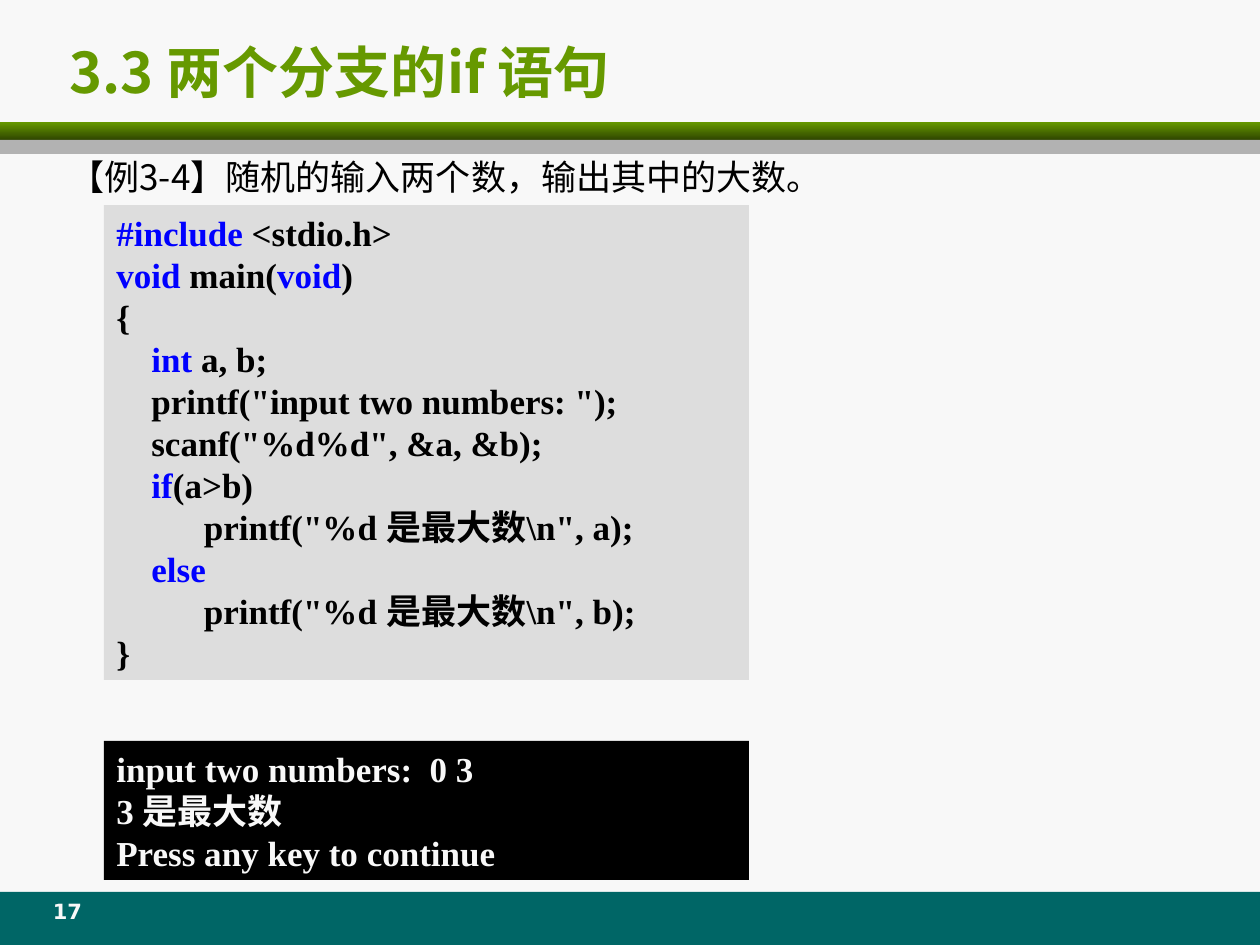
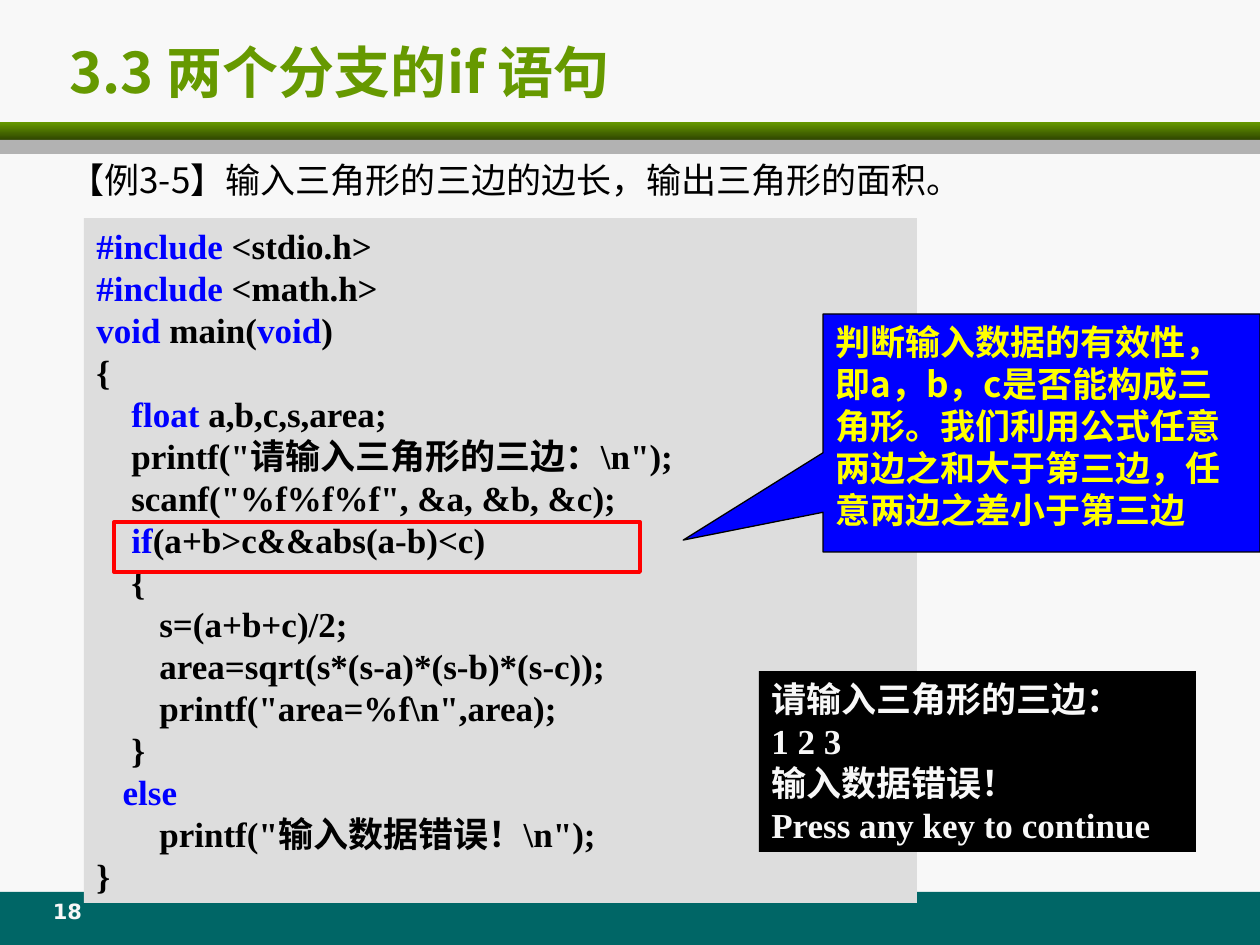
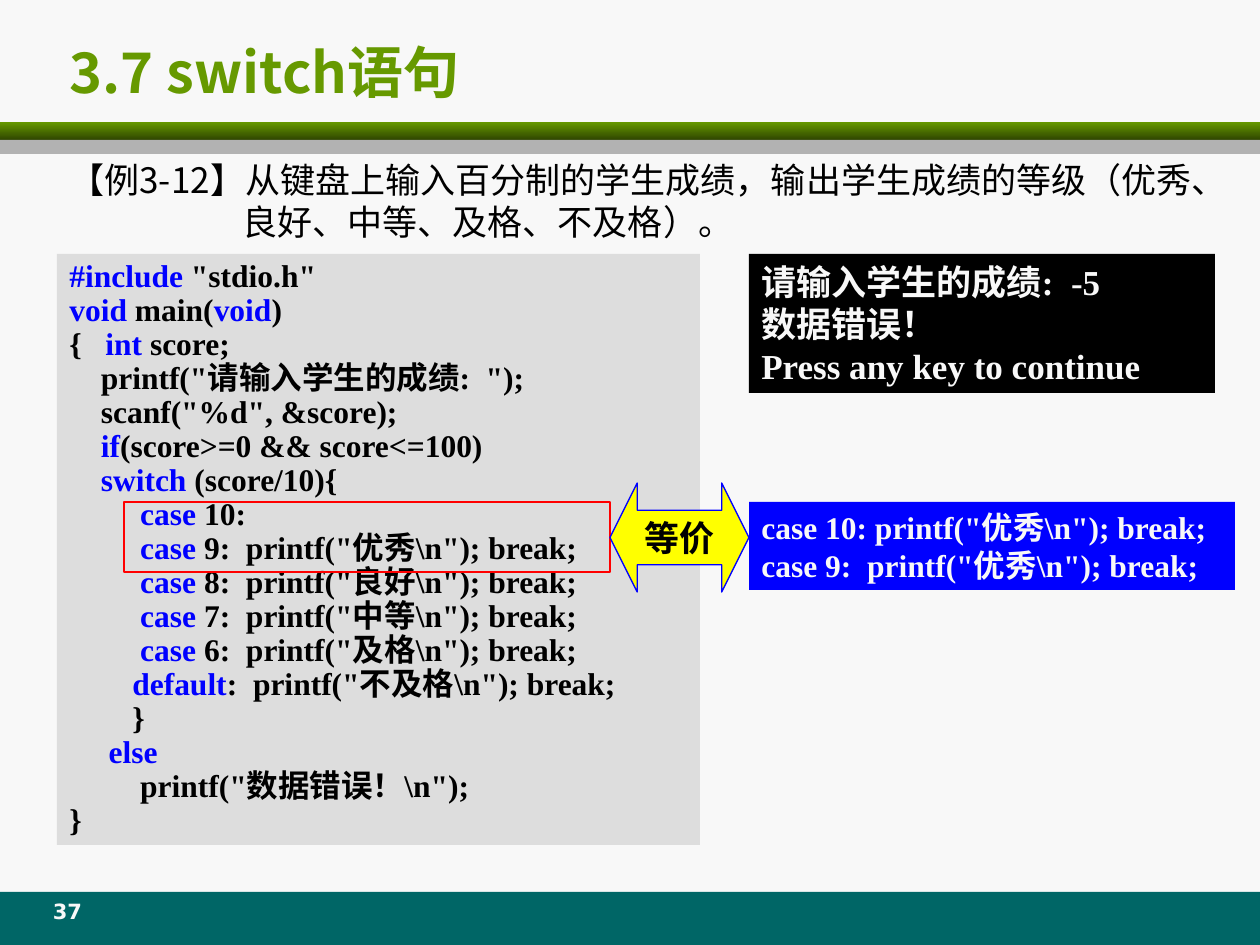
from lxml import etree
from pptx import Presentation
from pptx import util as u
from pptx.dml.color import RGBColor
from pptx.enum import shapes, text
from pptx.oxml.ns import qn

PX = 914400 / 126
WIDTH, HEIGHT = 1260, 945

PAPER, INK, BLUE, YELLOW, RED = "F8F8F8", "000000", "0000FF", "FFFF00", "FF0000"
GREEN, DARK_GREEN, GREY, TEAL, CODE_GREY = "669900", "2F4600", "B2B2B2", "006666", "DDDDDD"
SERIF, CJK, CJK_TITLE, NUMERAL = "Times New Roman", "Noto Sans CJK SC", "Noto Sans CJK JP", "DejaVu Sans"

TITLE_BOX = (57, 29, 1178, 84)
NUMBER_BOX = (31, 892, 73, 42)

MAX_CODE = r'''`#include` <stdio.h>
`void` main(`void`)
{
    `int` a, b;
    printf("input two numbers: ");
    scanf("%d%d", &a, &b);
    `if`(a>b)
          printf("%d 是最大数\n", a);
    `else`
          printf("%d 是最大数\n", b);
}'''
MAX_OUTPUT = """input two numbers:  0 3
3 是最大数
Press any key to continue"""

TRIANGLE_CODE = '''`#include` <stdio.h>
`#include` <math.h>
`void` main(`void`)
{
    `float` a,b,c,s,area;
    printf("请输入三角形的三边：\\n");
    scanf("%f%f%f", &a, &b, &c);
    `if`(a+b>c&&abs(a-b)<c)
    {
\ts=(a+b+c)/2;
\tarea=sqrt(s*(s-a)*(s-b)*(s-c));
\tprintf("area=%f\\n",area);
    }
   `else`
\tprintf("输入数据错误！\\n");
}'''
TRIANGLE_OUTPUT = """请输入三角形的三边：
1 2 3
输入数据错误！
Press any key to continue"""
TRIANGLE_NOTE = "判断输入数据的有效性，即a，b，c是否能构成三角形。我们利用公式任意两边之和大于第三边，任意两边之差小于第三边"

GRADE_CODE = r'''`#include` "stdio.h"
`void `main(`void`)
{ `  int` score;
    printf("请输入学生的成绩:  ");
    scanf("%d", &score);
    `if`(score>=0 && score<=100)
    `switch `(score/10){
         `case `10:
         `case` 9:  printf("优秀\n"); break;
         `case` 8:  printf("良好\n"); break;
         `case` 7:  printf("中等\n"); break;
         `case` 6:  printf("及格\n"); break;
        `default`:  printf("不及格\n"); break;
        }
     `else`
         printf("数据错误！\n");
}'''
GRADE_OUTPUT = """请输入学生的成绩:  -5
数据错误！
Press any key to continue"""
EQUIVALENT_CASES = r'''case 10: printf("优秀\n"); break;
case 9:  printf("优秀\n"); break;'''


def px(length):
    return u.Emu(round(length * PX))


def rgb(value):
    return RGBColor.from_string(value)


def style(paragraph, size, face, color, bold):
    font = paragraph.font
    font.size, font.name, font.bold = u.Pt(size), face, bold
    font.color.rgb = rgb(color)
    east_asian = etree.SubElement(paragraph._p.pPr.find(qn("a:defRPr")), qn("a:ea"))
    east_asian.set("typeface", CJK if face == SERIF else face)


def write(shape, content, size, face, color, bold=True, align=text.PP_ALIGN.LEFT,
          anchor=text.MSO_ANCHOR.TOP, spacing=None):
    """Fill a shape line by line; words between backticks are keywords."""
    frame = shape.text_frame
    frame.word_wrap = True
    frame.auto_size = text.MSO_AUTO_SIZE.NONE
    frame.vertical_anchor = anchor
    for index, line in enumerate(content.split("\n")):
        paragraph = frame.add_paragraph() if index else frame.paragraphs[0]
        paragraph.alignment = align
        if spacing:
            paragraph.line_spacing = spacing
        style(paragraph, size, face, color, bold)
        for part, words in enumerate(line.split("`")):
            if words:
                run = paragraph.add_run()
                run.text = words
                if part % 2:
                    run.font.color.rgb = rgb(BLUE)
    return frame


def add_block(slide, box, fill=None, line=None, weight=0.75, kind=shapes.MSO_SHAPE.RECTANGLE):
    block = slide.shapes.add_shape(kind, *map(px, box))
    block.shadow.inherit = False
    if fill:
        block.fill.solid()
        block.fill.fore_color.rgb = rgb(fill)
    else:
        block.fill.background()
    if line:
        block.line.color.rgb = rgb(line)
        block.line.width = u.Pt(weight)
    else:
        block.line.fill.background()
    return block


def add_bands(slide):
    add_block(slide, (0, 892, WIDTH, 53), TEAL)
    header = add_block(slide, (0, 122, WIDTH, 18), GREEN)
    header.fill.gradient()
    header.fill.gradient_angle = 270
    for stop, color in zip(header.fill.gradient_stops, (GREEN, DARK_GREEN)):
        stop.color.rgb = rgb(color)
    add_block(slide, (0, 140, WIDTH, 14), GREY)


def add_example(slide, box, content, hanging, spacing=None):
    example = slide.shapes.add_textbox(*map(px, box))
    frame = write(example, content, 20, CJK, INK, bold=False, spacing=spacing)
    properties = frame.paragraphs[0]._p.get_or_add_pPr()
    properties.set("marL", str(px(hanging)))
    properties.set("indent", str(-px(hanging)))


def add_code(slide, box, code, size=20, spacing=None):
    write(add_block(slide, box, CODE_GREY), code, size, SERIF, INK, spacing=spacing)


def add_console(slide, box, output):
    write(add_block(slide, box, INK), output, 20, SERIF, PAPER)


def add_callout(slide, box, note, tip):
    callout = add_block(slide, box, BLUE, INK, kind=shapes.MSO_SHAPE.RECTANGULAR_CALLOUT)
    callout.adjustments[0], callout.adjustments[1] = tip
    write(callout, note, 20, CJK, YELLOW)


def add_equivalence(slide, box, arrow_width):
    """Double arrow on the left of the box, equivalent code on its right."""
    left, top, width, height = box
    cases = add_block(slide, (left + arrow_width, top + 19, width - arrow_width, 88), BLUE)
    write(cases, EQUIVALENT_CASES, 18, SERIF, PAPER)
    arrow = add_block(slide, (left, top, arrow_width, height), YELLOW, BLUE,
                      kind=shapes.MSO_SHAPE.LEFT_RIGHT_ARROW)
    arrow.adjustments[0], arrow.adjustments[1] = 0.5, 0.25
    write(arrow, "等价", 20, CJK, INK, align=text.PP_ALIGN.CENTER, anchor=text.MSO_ANCHOR.MIDDLE)


def start_slide(prs, heading, number):
    slide = prs.slides.add_slide(prs.slide_layouts[5])
    add_bands(slide)
    title = slide.shapes.title
    title.left, title.top, title.width, title.height = map(px, TITLE_BOX)
    write(title, heading, 32, CJK_TITLE, GREEN, anchor=text.MSO_ANCHOR.MIDDLE)
    page = slide.shapes.add_textbox(*map(px, NUMBER_BOX))
    write(page, str(number), 12, NUMERAL, PAPER, align=text.PP_ALIGN.CENTER)
    return slide


def build_max_slide(prs):
    slide = start_slide(prs, "3.3 两个分支的if 语句", 17)
    add_example(slide, (57, 154, 1068, 52), "【例3-4】随机的输入两个数，输出其中的大数。", 73, 0.9)
    add_code(slide, (104, 205, 645, 475), MAX_CODE)
    add_console(slide, (104, 741, 645, 139), MAX_OUTPUT)


def build_triangle_slide(prs):
    slide = start_slide(prs, "3.3 两个分支的if 语句", 18)
    add_example(slide, (57, 152, 1178, 62), "【例3-5】输入三角形的三边的边长，输出三角形的面积。", 48)
    add_code(slide, (84, 218, 833, 685), TRIANGLE_CODE)
    add_console(slide, (759, 671, 437, 181), TRIANGLE_OUTPUT)
    add_callout(slide, (823, 314, 437, 238), TRIANGLE_NOTE, (-0.82, 0.45))
    add_block(slide, (114, 522, 526, 50), line=RED, weight=2.25)


def build_grade_slide(prs):
    slide = start_slide(prs, "3.7 switch语句", 37)
    add_example(slide, (57, 152, 1178, 101),
                "【例3-12】从键盘上输入百分制的学生成绩，输出学生成绩的等级（优秀、良好、中等、及格、不及格）。", 173)
    add_code(slide, (57, 254, 643, 591), GRADE_CODE, 18, 0.9)
    add_block(slide, (124, 502, 486, 70), line=RED, weight=1)
    add_equivalence(slide, (610, 483, 625, 109), 139)
    add_console(slide, (749, 254, 466, 139), GRADE_OUTPUT)


def main():
    prs = Presentation()
    prs.slide_width, prs.slide_height = px(WIDTH), px(HEIGHT)
    backdrop = prs.slide_master.background.fill
    backdrop.solid()
    backdrop.fore_color.rgb = rgb(PAPER)
    build_max_slide(prs)
    build_triangle_slide(prs)
    build_grade_slide(prs)
    prs.save("out.pptx")


if __name__ == "__main__":
    main()
